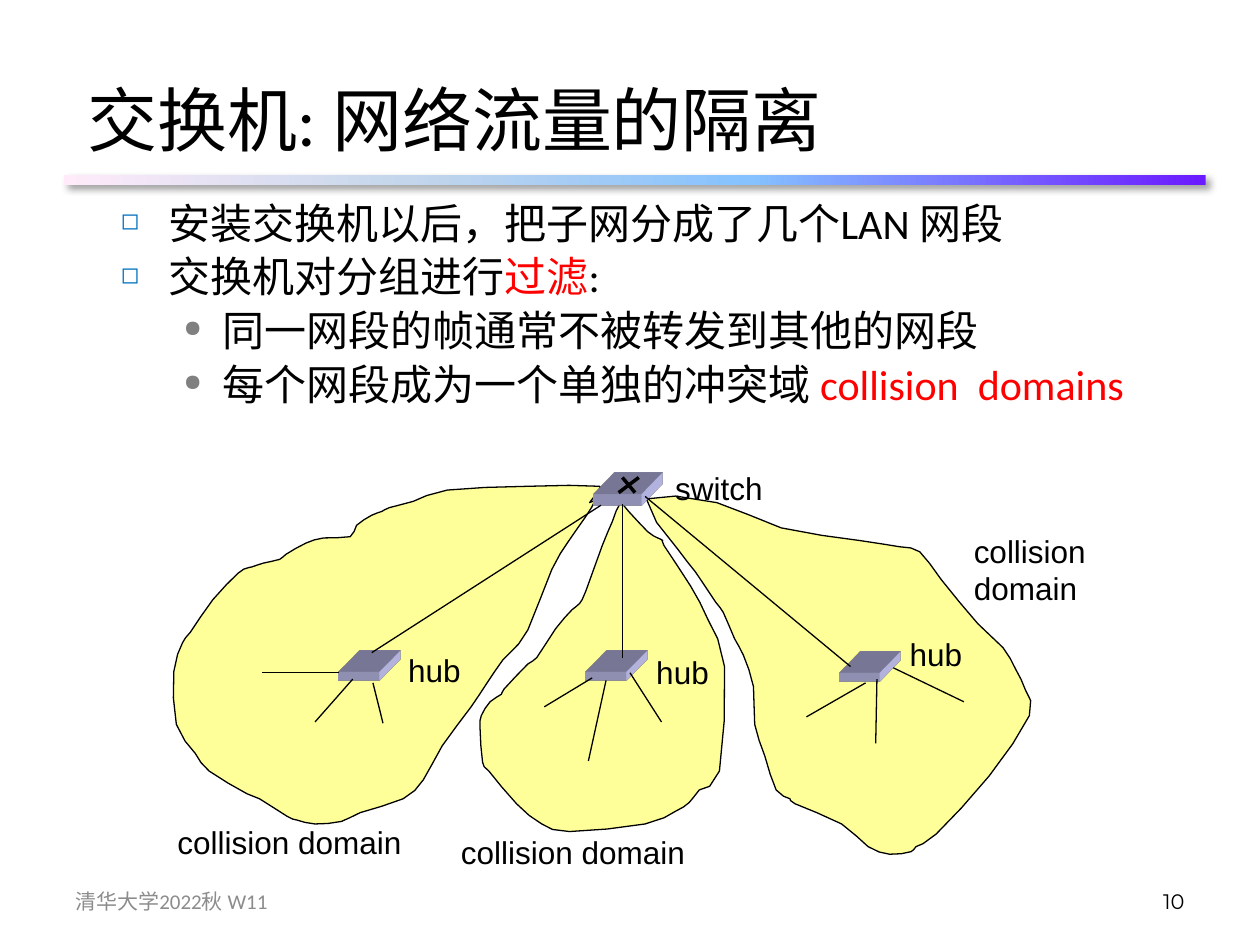
from lxml import etree
from pptx import Presentation, util as u
from pptx.dml.color import RGBColor
from pptx.enum import shapes, text
from pptx.oxml import parse_xml
from pptx.oxml.ns import nsdecls, qn

BLACK = RGBColor(0x00, 0x00, 0x00)
RED = RGBColor(0xFF, 0x00, 0x00)
GREY = RGBColor(0x8C, 0x8C, 0x8C)
YELLOW = RGBColor(0xFF, 0xFF, 0x99)
LAVENDER = RGBColor(0xCC, 0xCC, 0xFF)
BAR_STOPS = [(0, "6B19FF"), (40, "85C2FF"), (70, "C4D6EB"), (100, "FFEBFA")]
UNIT = 2.54  # centimetres in one unit of the layout grid

RIGHT_DOMAIN = [
    (5.13, 3.96), (5.38, 4.36), (5.52, 4.54), (5.68, 4.78), (5.74, 4.86), (5.83, 5.07),
    (5.9, 5.2), (5.98, 5.45), (5.99, 5.75), (6.07, 6), (6.16, 6.27), (6.27, 6.34),
    (6.31, 6.38), (6.68, 6.54), (6.89, 6.72), (7.06, 6.78), (7.23, 6.76), (7.27, 6.72),
    (7.43, 6.62), (7.85, 6.16), (8.17, 5.68), (8.14, 5.48), (8.06, 5.31), (7.96, 5.14),
    (7.76, 4.95), (7.47, 4.6), (7.3, 4.38), (7.14, 4.34), (6.82, 4.29), (6.2, 4.19),
    (5.69, 3.99)]
MIDDLE_DOMAIN = [
    (4.92, 4), (4.86, 4.14), (4.78, 4.33), (4.65, 4.69), (4.6, 4.79), (4.54, 4.84),
    (4.41, 4.99), (4.26, 5.22), (4.19, 5.27), (4, 5.47), (3.98, 5.51), (3.89, 5.57),
    (3.82, 5.68), (3.81, 5.78), (3.83, 6.05), (3.88, 6.12), (4.1, 6.38), (4.3, 6.54),
    (4.52, 6.6), (5.12, 6.54), (5.36, 6.44), (5.47, 6.37), (5.55, 6.27), (5.71, 6.12),
    (5.75, 5.29), (5.62, 4.92), (5.48, 4.65), (5.27, 4.33), (5.26, 4.29), (5.22, 4.27),
    (5.14, 4.22), (4.99, 4.06)]
LEFT_DOMAIN = [
    (4.76, 3.86), (4.19, 3.86), (3.55, 3.89), (3.28, 3.98), (3.09, 4.03), (3.03, 4.06),
    (2.95, 4.09), (2.83, 4.17), (2.78, 4.26), (2.57, 4.27), (2.43, 4.31), (2.27, 4.4),
    (2.22, 4.44), (2.09, 4.47), (2, 4.5), (1.96, 4.51), (1.89, 4.55), (1.69, 4.76),
    (1.51, 5.02), (1.45, 5.1), (1.38, 5.33), (1.4, 5.75), (1.55, 5.98), (1.66, 6.12),
    (1.96, 6.3), (2.06, 6.34), (2.28, 6.48), (2.36, 6.51), (2.5, 6.54), (2.71, 6.52),
    (2.86, 6.45), (3.2, 6.34), (3.36, 6.19), (3.51, 5.92), (3.74, 5.61), (3.86, 5.43),
    (3.99, 5.24), (4.06, 5.17), (4.19, 5), (4.38, 4.52), (4.51, 4.3), (4.65, 4.1),
    (4.72, 3.98), (4.68, 3.99), (4.71, 3.95)]
HUBS = [(4.65, 5.33), (6.66, 5.34), (2.69, 5.33)]
WIRES = [
    ((2.69, 5.34), (2.08, 5.34)), ((2.8, 5.39), (2.5, 5.73)), ((2.96, 5.42), (3.04, 5.74)),
    ((4.7, 5.38), (4.32, 5.61)), ((4.81, 5.4), (4.67, 6.04)), ((5, 5.34), (5.25, 5.73)),
    ((6.87, 5.42), (6.4, 5.69)), ((6.96, 5.39), (6.95, 5.9)), ((7.09, 5.3), (7.65, 5.57))]
CROSS = [((4.94, 3.79), (5.04, 3.91)), ((5.07, 3.79), (4.91, 3.91))]
UPLINKS = [
    ((4.77, 4.01), (2.95, 5.18)), ((4.94, 4), (4.94, 5.22)), ((6.75, 5.29), (5.12, 3.94))]
LABELS = [
    ("hub", (3.14, 5.12, 0.69, 0.4)), ("hub", (5.11, 5.13, 0.62, 0.4)),
    ("hub", (7.12, 4.99, 0.62, 0.4)), ("switch", (5.26, 3.67, 0.95, 0.4)),
    ("collision domain", (1.31, 6.48, 2, 0.4)), ("collision domain", (3.56, 6.56, 2, 0.4))]
POINTS = [
    (0, [("安装交换机以后，把子网分成了几个LAN 网段", BLACK)]),
    (0, [("交换机对分组进行", BLACK), ("过滤", RED), (":", BLACK)]),
    (1, [("同一网段的帧通常不被转发到其他的网段", BLACK)]),
    (1, [("每个网段成为一个单独的冲突域 ", BLACK), ("collision  domains", RED)])]
# margin, hanging indent, bullet colour, bullet character
BULLETS = [(0.38, 0.38, "0070C0", "◻"), (0.81, 0.31, "808080", "●")]


def grid(*values):
    return [u.Cm(value * UNIT) for value in values]


def smooth(knots, steps=2):
    """Return points on a closed Catmull-Rom curve through the knots."""
    points = []
    for i, b in enumerate(knots):
        a, c, d = knots[i - 1], knots[(i + 1) % len(knots)], knots[(i + 2) % len(knots)]
        for t in (step / steps for step in range(steps)):
            points.append(tuple(
                q + ((r - p) * t + (2 * p - 5 * q + 4 * r - s) * t ** 2
                     + (3 * q - p - 3 * r + s) * t ** 3) / 2
                for p, q, r, s in zip(a, b, c, d)))
    return points


def add_run(paragraph, content, size=18, font="Arial", color=BLACK):
    run = paragraph.add_run()
    run.text = content
    run.font.size = u.Pt(size)
    run.font.name = font
    run.font.color.rgb = color


def add_bullet(paragraph, level):
    margin, hanging, color, character = BULLETS[level]
    properties = paragraph._p.get_or_add_pPr()
    properties.set("marL", str(grid(margin)[0]))
    properties.set("indent", str(-grid(hanging)[0]))
    bullet_color = etree.SubElement(properties, qn("a:buClr"))
    etree.SubElement(bullet_color, qn("a:srgbClr")).set("val", color)
    etree.SubElement(properties, qn("a:buSzPct")).set("val", "55000")
    etree.SubElement(properties, qn("a:buChar")).set("char", character)


class Deck:
    def __init__(self):
        self.presentation = Presentation()
        self.presentation.slide_width, self.presentation.slide_height = grid(10, 7.5)
        self.slide = self.presentation.slides.add_slide(self.presentation.slide_layouts[6])

    def frame(self, box, wrap=True, anchor=text.MSO_ANCHOR.TOP):
        frame = self.slide.shapes.add_textbox(*grid(*box)).text_frame
        frame.word_wrap = wrap
        frame.vertical_anchor = anchor
        return frame

    def text(self, content, box, wrap=True, anchor=text.MSO_ANCHOR.TOP,
             align=text.PP_ALIGN.LEFT, **style):
        paragraph = self.frame(box, wrap, anchor).paragraphs[0]
        paragraph.alignment = align
        add_run(paragraph, content, **style)

    def bullets(self, points, box):
        frame = self.frame(box)
        for i, (level, runs) in enumerate(points):
            paragraph = frame.add_paragraph() if i else frame.paragraphs[0]
            paragraph.level = level
            paragraph.line_spacing = 0.9
            paragraph.space_before = u.Pt(4.8 if i else 0)
            add_bullet(paragraph, level)
            for content, color in runs:
                add_run(paragraph, content, size=24, font="Calibri", color=color)

    def domain(self, knots):
        start, *others = [grid(*point) for point in smooth(knots)]
        builder = self.slide.shapes.build_freeform(*start)
        builder.add_line_segments(others)
        shape = builder.convert_to_shape()
        shape.shadow.inherit = False
        shape.fill.solid()
        shape.fill.fore_color.rgb = YELLOW
        shape.line.color.rgb = BLACK
        shape.line.width = u.Pt(0.75)

    def line(self, start, end, width=0.75):
        connector = self.slide.shapes.add_connector(
            shapes.MSO_CONNECTOR.STRAIGHT, *grid(*start, *end))
        connector.line.color.rgb = BLACK
        connector.line.width = u.Pt(width)
        etree.SubElement(connector._element.spPr, qn("a:effectLst"))

    def device(self, *box):
        """Draw a front face and extrude it up and to the right."""
        face = self.slide.shapes.add_shape(shapes.MSO_SHAPE.RECTANGLE, *grid(*box))
        face.shadow.inherit = False
        face.fill.solid()
        face.fill.fore_color.rgb = LAVENDER
        face.line.fill.background()
        properties = face._element.spPr
        properties.append(parse_xml(
            f'<a:scene3d {nsdecls("a")}><a:camera prst="legacyObliqueTopRight"/>'
            '<a:lightRig rig="legacyFlat3" dir="b"/></a:scene3d>'))
        properties.append(parse_xml(
            f'<a:sp3d {nsdecls("a")} extrusionH="430200" prstMaterial="legacyMatte">'
            f'<a:extrusionClr><a:srgbClr val="{LAVENDER}"/></a:extrusionClr></a:sp3d>'))

    def gradient_bar(self, box):
        bar = self.slide.shapes.add_shape(shapes.MSO_SHAPE.RECTANGLE, *grid(*box))
        bar.line.fill.background()
        stops = "".join(f'<a:gs pos="{position * 1000}"><a:srgbClr val="{color}"/></a:gs>'
                        for position, color in BAR_STOPS)
        properties = bar._element.spPr
        properties.insert(2, parse_xml(
            f'<a:gradFill {nsdecls("a")}><a:gsLst>{stops}</a:gsLst>'
            '<a:lin ang="10800000" scaled="0"/></a:gradFill>'))
        properties.append(parse_xml(
            f'<a:effectLst {nsdecls("a")}><a:outerShdw blurRad="50800" dist="38100" '
            'dir="2700000" algn="tl" rotWithShape="0"><a:srgbClr val="000000">'
            '<a:alpha val="40000"/></a:srgbClr></a:outerShdw></a:effectLst>'))


def main():
    deck = Deck()
    middle = text.MSO_ANCHOR.MIDDLE
    deck.gradient_bar((0.51, 1.39, 9.06, 0.08))
    for knots in (RIGHT_DOMAIN, MIDDLE_DOMAIN, LEFT_DOMAIN):
        deck.domain(knots)
    deck.text("交换机: 网络流量的隔离", (0.6, 0.47, 8.5, 0.94), anchor=middle,
              size=40, font="Calibri")
    deck.bullets(POINTS, (0.86, 1.56, 8.62, 2.19))
    deck.text("10", (7.17, 6.95, 2.33, 0.4), anchor=middle,
              align=text.PP_ALIGN.RIGHT, size=12, font="Montserrat")
    for left, top in HUBS:
        deck.device(left, top, 0.32, 0.07)
    for start, end in WIRES:
        deck.line(start, end)
    deck.device(4.71, 3.92, 0.38, 0.09)
    for start, end in CROSS:
        deck.line(start, end, width=2)
    for start, end in UPLINKS:
        deck.line(start, end)
    for content, box in LABELS:
        deck.text(content, box, wrap=False)
    deck.text("collision domain", (7.63, 4.17, 1.19, 0.7))
    deck.text("清华大学2022秋 W11", (0.5, 6.95, 2.33, 0.4), anchor=middle,
              size=12, font="Calibri", color=GREY)
    deck.presentation.save("out.pptx")


if __name__ == "__main__":
    main()
